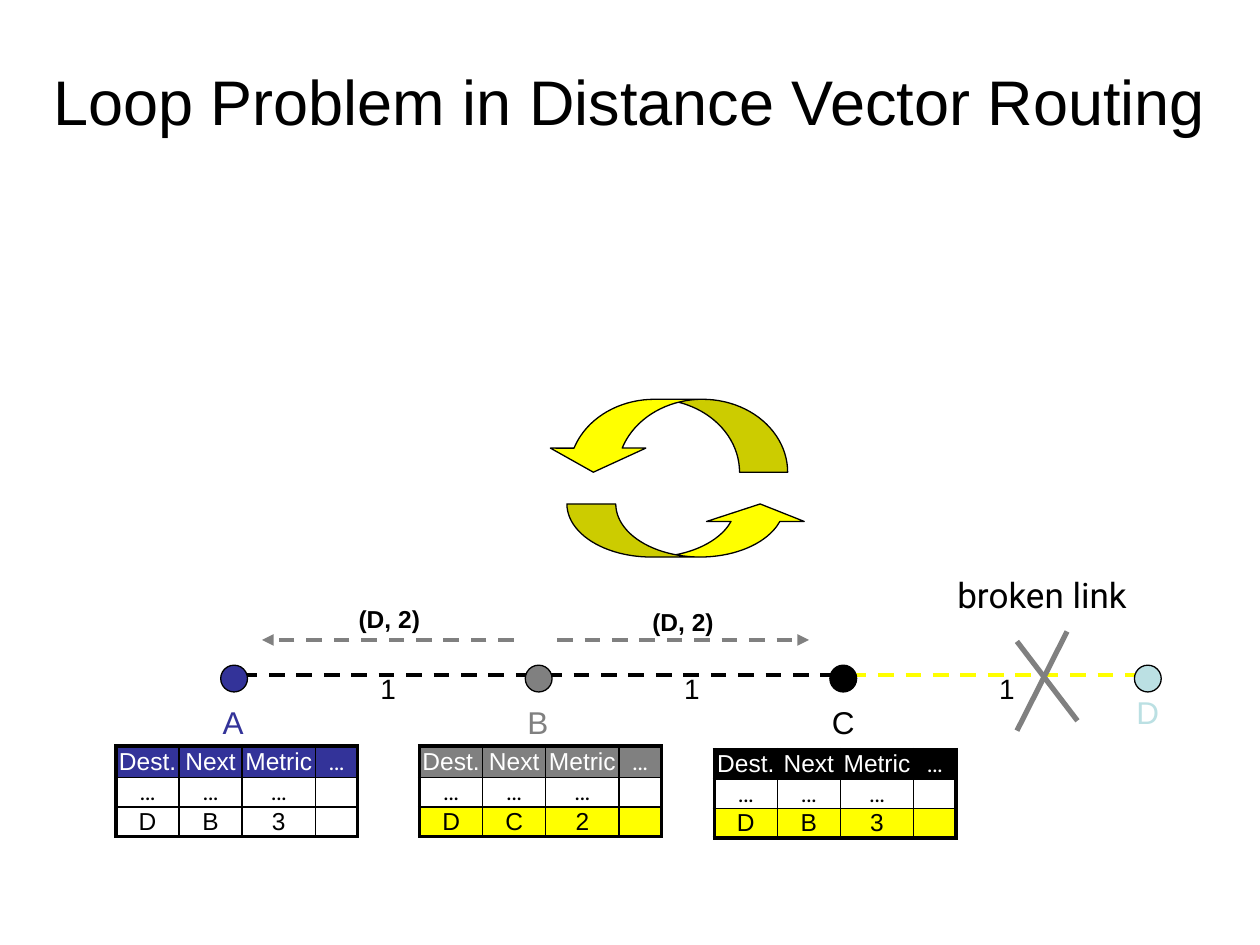
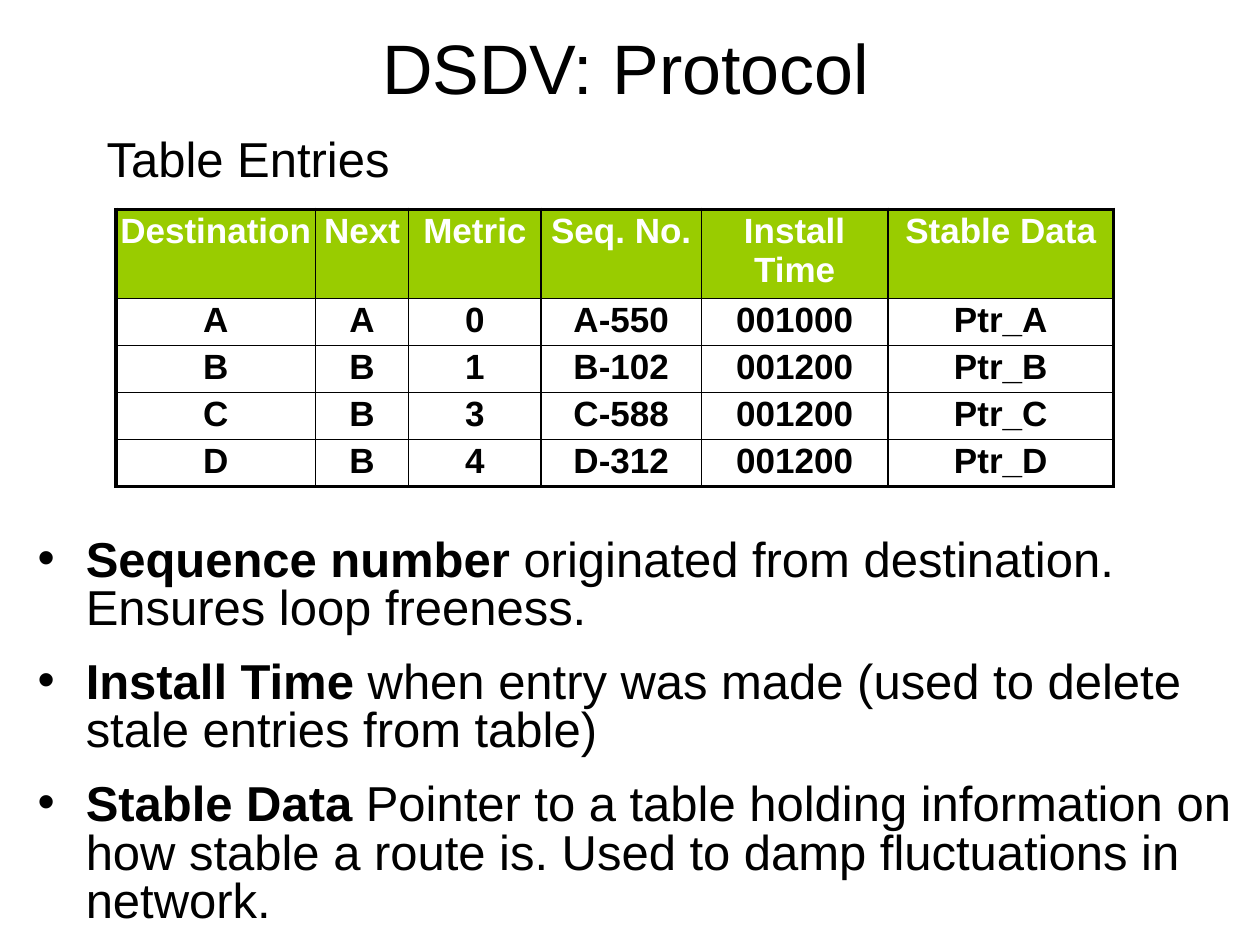
from lxml import etree
from pptx import Presentation
from pptx import util as u
from pptx.dml import color as dml
from pptx.enum import dml as lines, shapes, text
from pptx.oxml import ns

BLACK, WHITE, GRAY = "000000", "FFFFFF", "808080"
BLUE, AQUA, YELLOW, GREEN = "333399", "BBE0E3", "FFFF00", "99CC00"
LEFT, MID = text.PP_ALIGN.LEFT, text.PP_ALIGN.CENTER
KIND = shapes.MSO_SHAPE
STEP = 6.14
NODES = [4.72 + STEP * i for i in range(4)]


def rgb(code):
    return dml.RGBColor.from_string(code)


def cm(*sizes):
    return [u.Cm(size) for size in sizes]


def sub(parent, tag, **attrs):
    return etree.SubElement(parent, ns.qn(tag), **attrs)


def write(para, words, size=18, color=BLACK, bold=False, font="Arial", align=LEFT):
    para.alignment = align
    run = para.add_run()
    run.text = words
    run.font.size = u.Pt(size)
    run.font.name = font
    run.font.bold = bold
    run.font.color.rgb = rgb(color)


def title(slide, words, box, size):
    head = slide.shapes.title
    head.left, head.top, head.width, head.height = cm(*box)
    frame = head.text_frame
    frame.auto_size = text.MSO_AUTO_SIZE.NONE
    frame.vertical_anchor = text.MSO_ANCHOR.BOTTOM
    write(frame.paragraphs[0], words, size=size, align=MID)


def label(slide, words, box, fill=None, **fmt):
    note = slide.shapes.add_textbox(*cm(*box))
    note.text_frame.word_wrap = False
    if fill:
        note.fill.solid()
        note.fill.fore_color.rgb = rgb(fill)
    write(note.text_frame.paragraphs[0], words, **fmt)


def shape(slide, kind, box, fill):
    item = slide.shapes.add_shape(kind, *cm(*box))
    item.shadow.inherit = False
    item.fill.solid()
    item.fill.fore_color.rgb = rgb(fill)
    item.line.color.rgb = rgb(BLACK)
    item.line.width = u.Pt(0.75)
    return item


def curve(slide, kind, box, adjust):
    item = shape(slide, kind, box, YELLOW)
    for i, value in enumerate(adjust):
        item.adjustments[i] = value
    return item


def line(slide, ends, color, width=2.25, dash=True, arrow=False):
    link = slide.shapes.add_connector(shapes.MSO_CONNECTOR.STRAIGHT, *cm(*ends))
    link.line.color.rgb = rgb(color)
    link.line.width = u.Pt(width)
    if dash:
        link.line.dash_style = lines.MSO_LINE.DASH
    if arrow:
        sub(link.line._get_or_add_ln(), "a:tailEnd", type="triangle")
    sub(link._element.spPr, "a:effectLst")
    return link


def border(cell, edges):
    props = cell._tc.get_or_add_tcPr()
    for side, outer in edges.items():
        width = u.Pt(2.25 if outer else 1)
        ln = sub(props, "a:ln" + side, w=str(width))
        sub(sub(ln, "a:solidFill"), "a:srgbClr", val=BLACK)


def grid(slide, place, cols, tall, rows, fills, size, pad=0, bold=False, anchor=text.MSO_ANCHOR.TOP):
    frame = slide.shapes.add_table(len(rows), len(cols), *cm(*place, sum(cols), sum(tall)))
    table = frame.table
    table.first_row = table.horz_banding = False
    for col, width in zip(table.columns, cols):
        col.width = u.Cm(width)
    for r, (row, high, fill) in enumerate(zip(rows, tall, fills)):
        table.rows[r].height = u.Cm(high)
        for c, words in enumerate(row):
            cell = table.cell(r, c)
            cell.margin_left = cell.margin_right = u.Cm(pad)
            cell.margin_top = cell.margin_bottom = u.Cm(pad)
            cell.vertical_anchor = anchor
            border(cell, {"L": c == 0, "R": c == len(cols) - 1,
                          "T": r == 0, "B": r == len(rows) - 1})
            if fill:
                cell.fill.solid()
                cell.fill.fore_color.rgb = rgb(fill)
            else:
                cell.fill.background()
            para = cell.text_frame.paragraphs[0]
            if words:
                write(para, words, size=size, bold=bold, align=MID,
                      color=BLACK if r else WHITE,
                      font="Roboto" if words == "…" else "Arial")
            else:
                sub(para._p, "a:endParaRPr", sz=str(size * 100))


def route(slide, place, color, entry, last, top=0.63):
    rows = [["Dest.", "Next", "Metric", "…"], ["…", "…", "…", ""], [*entry, ""]]
    grid(slide, place, [1.27, 1.27, 1.48, 0.85], [top, 0.59, 0.59], rows,
         [color, WHITE, last], 14, anchor=text.MSO_ANCHOR.MIDDLE)


def bullets(slide, box, items):
    frame = slide.shapes.add_textbox(*cm(*box)).text_frame
    frame.word_wrap = True
    for i, (term, rest) in enumerate(items):
        para = frame.add_paragraph() if i else frame.paragraphs[0]
        para.line_spacing = 0.83
        para.space_before = u.Pt(14 if i else 0)
        props = para._p.get_or_add_pPr()
        props.set("marL", str(u.Cm(0.97)))
        props.set("indent", str(u.Cm(-0.97)))
        sub(props, "a:buFont", typeface="Arial")
        sub(props, "a:buChar", char="•")
        write(para, term, size=28, bold=True)
        write(para, rest, size=28)


def loop(slide):
    title(slide, "Loop Problem in Distance Vector Routing", (0.69, 0.38, 24, 2.54), 36)
    for x, y in ((6.98, 12.06), (12.9, 12.12)):
        label(slide, "(D, 2)", (x, y, 1.75, 0.84), fill=WHITE, size=14, bold=True)
    for x, mark, color in zip(NODES, (7.42, 13.54, 19.89), (BLACK, BLACK, YELLOW)):
        line(slide, (x + 0.15, 13.61, x + STEP - 0.07, 13.61), color)
        label(slide, "1", (mark, 13.41, 0.81, 0.94), size=16)
    for x, name, color in zip(NODES, "ABCD", (BLUE, GRAY, BLACK, AQUA)):
        shape(slide, KIND.OVAL, (x - 0.27, 13.41, 0.54, 0.54), color)
        label(slide, name, (x - 0.48, 13.84 if name == "D" else 14.05, 0.95, 1.02), color=color)

    up = curve(slide, KIND.CURVED_UP_ARROW, (11.43, 10.16, 4.88, 1.07), (0.92, 1.84, 0.33))
    down = curve(slide, KIND.CURVED_DOWN_ARROW, (11, 8.05, 4.88, 1.47), (0.66, 1.31, 0.33))
    down._element.spPr.xfrm.set("flipH", "1")
    slide.shapes.add_group_shape([up, down])

    route(slide, (2.34, 15.04), BLUE, "DB3", WHITE)
    route(slide, (8.46, 15.04), GRAY, "DC2", YELLOW)
    route(slide, (14.4, 15.11), BLACK, "DB3", YELLOW, top=0.59)
    for start, end in ((11.23, 16.31), (10.36, 5.28)):
        line(slide, (start, 12.9, end, 12.9), GRAY, arrow=True)
    cross = [line(slide, ends, GRAY, width=3, dash=False)
             for ends in ((20.5, 12.93, 21.72, 14.53), (21.51, 12.73, 20.5, 14.73))]
    slide.shapes.add_group_shape(cross)
    label(slide, "broken link", (19.05, 11.43, 3.94, 1.09), size=20, font="Roboto")


def dsdv(slide):
    title(slide, "DSDV: Protocol", (1.5, 0.71, 22.23, 1.6), 40)
    label(slide, "Table Entries", (1.9, 2.46, 20.75, 1.37), size=28)
    rows = [
        ["Destination", "Next", "Metric", "Seq. No.", "Install Time", "Stable Data"],
        ["A", "A", "0", "A-550", "001000", "Ptr_A"],
        ["B", "B", "1", "B-102", "001200", "Ptr_B"],
        ["C", "B", "3", "C-588", "001200", "Ptr_C"],
        ["D", "B", "4", "D-312", "001200", "Ptr_D"],
    ]
    grid(slide, (2.34, 4.22), [4.02, 1.88, 2.67, 3.23, 3.76, 4.55], [1.68] + [0.9] * 4,
         rows, [GREEN] + [None] * 4, 20, pad=0.05, bold=True)
    bullets(slide, (0.51, 10.72, 24.56, 8.33), [
        ("Sequence number", " originated from destination. Ensures loop freeness."),
        ("Install Time", " when entry was made (used to delete stale entries from table)"),
        ("Stable Data", " Pointer to a table holding information on how stable a route is."
                        " Used to damp fluctuations in network."),
    ])


def main():
    deck = Presentation()
    deck.slide_width, deck.slide_height = cm(25.4, 19.05)
    for draw in (loop, dsdv):
        draw(deck.slides.add_slide(deck.slide_layouts[5]))
    deck.save("out.pptx")


if __name__ == "__main__":
    main()
